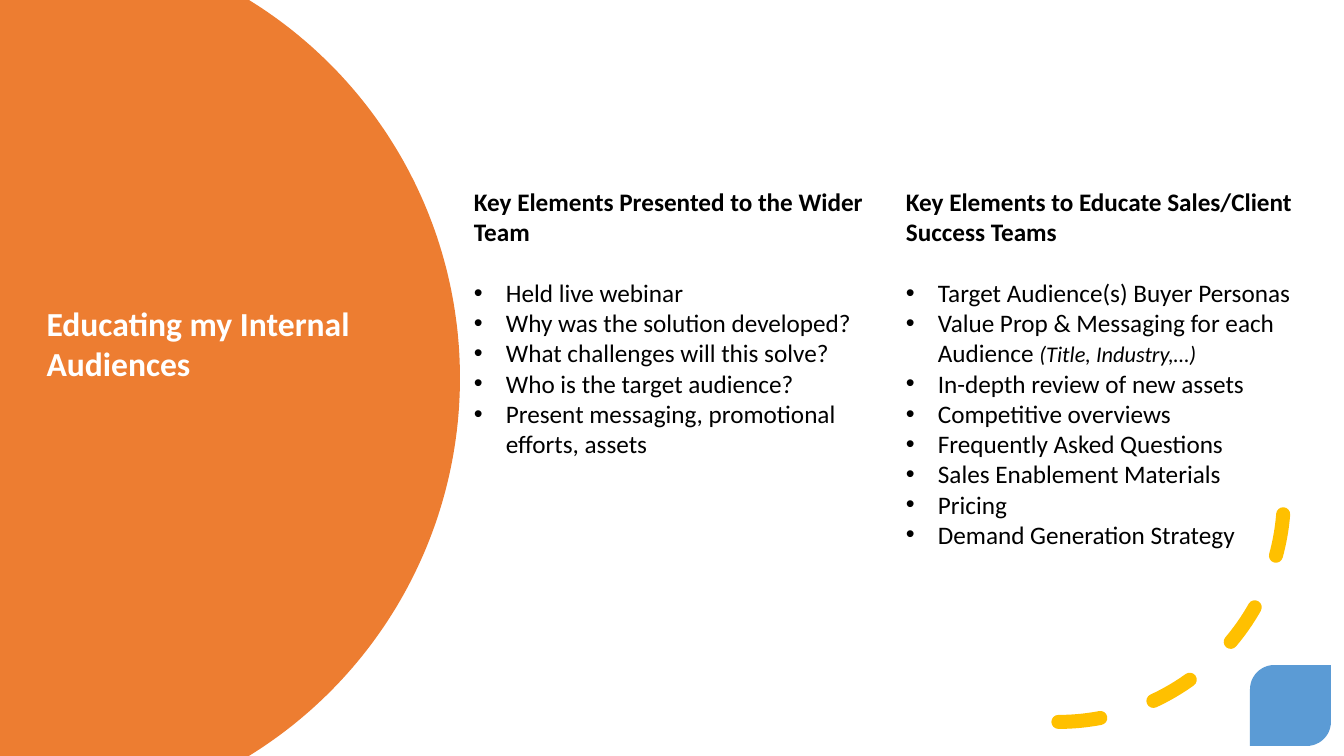
from math import asin, cos, sin

from lxml.etree import SubElement
from pptx import Presentation
from pptx.dml.color import RGBColor
from pptx.enum.dml import MSO_LINE
from pptx.enum.shapes import MSO_SHAPE
from pptx.enum.text import MSO_ANCHOR, MSO_AUTO_SIZE, PP_ALIGN
from pptx.oxml.ns import qn
from pptx.util import Pt

TITLE = "Educating my Internal Audiences"
COLUMNS = [
    ("Key Elements Presented to the Wider Team", 316, [
        "Held live webinar",
        "Why was the solution developed?",
        "What challenges will this solve?",
        "Who is the target audience?",
        "Present messaging, promotional efforts, assets",
    ]),
    ("Key Elements to Educate Sales/Client Success Teams", 437, [
        "Target Audience(s) Buyer Personas",
        ("Value Prop & Messaging for each Audience ", "(Title, Industry,…)"),
        "In-depth review of new assets",
        "Competitive overviews",
        "Frequently Asked Questions",
        "Sales Enablement Materials",
        "Pricing",
        "Demand Generation Strategy",
    ]),
]

ORANGE = RGBColor(0xED, 0x7D, 0x31)
YELLOW = RGBColor(0xFF, 0xC0, 0x00)
BLUE = RGBColor(0x5B, 0x9B, 0xD5)
WHITE = RGBColor(0xFF, 0xFF, 0xFF)
BLACK = RGBColor(0x00, 0x00, 0x00)

FONT = "Calibri"
PAGE_WIDTH, PAGE_HEIGHT = 1344, 756
CIRCLE_X, CIRCLE_RADIUS = 16, 444
CIRCLE_STEPS = 120
COLUMN_LEFT, COLUMN_TOP, COLUMN_WIDTH, COLUMN_STEP = 464, 181, 433, 432
BULLET_INDENT = 32


def px(length):
    return round(length * 914400 / 100.8)


def add_plain_shape(page, kind, left, top, width, height, fill=None):
    shape = page.shapes.add_shape(kind, px(left), px(top), px(width), px(height))
    shape.shadow.inherit = False
    shape.line.fill.background()
    paint(shape, fill)
    return shape


def paint(shape, fill):
    if fill is None:
        shape.fill.background()
    else:
        shape.fill.solid()
        shape.fill.fore_color.rgb = fill


def style(span, size, color, bold=False, italic=False):
    span.font.name = FONT
    span.font.size = Pt(size)
    span.font.color.rgb = color
    span.font.bold = bold
    span.font.italic = italic


def add_half_disc(page):
    middle = PAGE_HEIGHT / 2
    reach = asin(middle / CIRCLE_RADIUS)
    angles = [reach * (2 * step / CIRCLE_STEPS - 1) for step in range(CIRCLE_STEPS + 1)]
    edge = [
        (px(CIRCLE_X + CIRCLE_RADIUS * cos(angle)), px(middle + CIRCLE_RADIUS * sin(angle)))
        for angle in angles
    ]
    builder = page.shapes.build_freeform(0, 0, scale=1.0)
    builder.add_line_segments(edge + [(0, px(PAGE_HEIGHT))], close=True)
    disc = builder.convert_to_shape()
    disc.shadow.inherit = False
    disc.line.fill.background()
    paint(disc, ORANGE)


def add_dashed_arc(page):
    arc = add_plain_shape(page, MSO_SHAPE.ARC, 833, 271, 451, 451)
    arc.line.color.rgb = YELLOW
    arc.line.width = Pt(10)
    arc.line.dash_style = MSO_LINE.DASH
    arc.element.spPr.find(qn("a:ln")).set("cap", "rnd")
    arc.element.spPr.find(qn("a:xfrm")).set("flipV", "1")


def add_title(page):
    title = add_plain_shape(page, MSO_SHAPE.OVAL, -36, 18, 496, 616)
    frame = title.text_frame
    frame.word_wrap = True
    frame.vertical_anchor = MSO_ANCHOR.MIDDLE
    frame.margin_top = px(39)
    frame.text = TITLE
    para = frame.paragraphs[0]
    para.alignment = PP_ALIGN.LEFT
    style(para.runs[0], 24, WHITE, bold=True)


def add_bullet(para):
    properties = para._p.get_or_add_pPr()
    properties.set("marL", str(px(BULLET_INDENT)))
    properties.set("indent", str(-px(BULLET_INDENT)))
    SubElement(properties, qn("a:buFont")).set("typeface", "Arial")
    SubElement(properties, qn("a:buChar")).set("char", "•")


def add_column(page, index, heading, height, items):
    box = page.shapes.add_textbox(
        px(COLUMN_LEFT + index * COLUMN_STEP), px(COLUMN_TOP), px(COLUMN_WIDTH), px(height)
    )
    frame = box.text_frame
    frame.word_wrap = True
    frame.auto_size = MSO_AUTO_SIZE.SHAPE_TO_FIT_TEXT
    frame.text = heading
    frame.paragraphs[0].space_after = Pt(22)
    style(frame.paragraphs[0].runs[0], 18, BLACK, bold=True)
    for item in items:
        text, aside = (item, None) if isinstance(item, str) else item
        para = frame.add_paragraph()
        para.text = text
        style(para.runs[0], 18, BLACK)
        add_bullet(para)
        if aside:
            span = para.add_run()
            span.text = aside
            style(span, 16, BLACK, italic=True)


def main():
    deck = Presentation()
    deck.slide_width, deck.slide_height = px(PAGE_WIDTH), px(PAGE_HEIGHT)
    page = deck.slides.add_slide(deck.slide_layouts[6])
    add_half_disc(page)
    add_dashed_arc(page)
    add_title(page)
    for index, (heading, height, items) in enumerate(COLUMNS):
        add_column(page, index, heading, height, items)
    corner = add_plain_shape(page, MSO_SHAPE.ROUND_2_DIAG_RECTANGLE, 1250, 665, 81, 81, BLUE)
    corner.adjustments[0] = 0.3
    deck.save("out.pptx")


if __name__ == "__main__":
    main()
